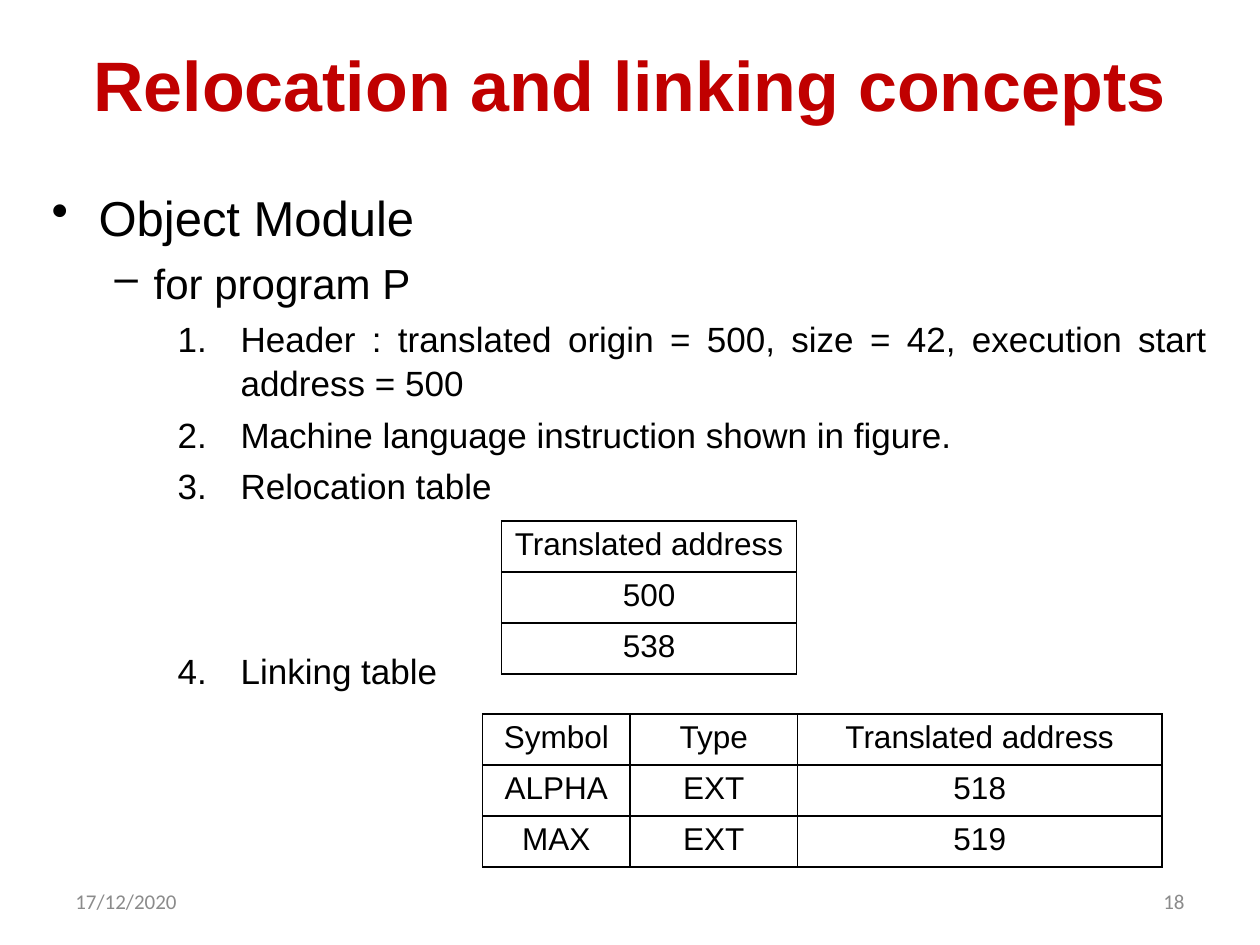
from lxml import etree
from pptx import Presentation
from pptx import util as u
from pptx.dml.color import RGBColor
from pptx.enum import text
from pptx.oxml import ns

ALIGN = text.PP_ALIGN
BLACK, RED, GREY = "000000", "C00000", "8B8B8B"

# level: (font size, left margin, hanging indent, space before, bullet tag, bullet attributes)
LEVELS = [
    (28, 0.95, 0.95, 5.6, "buChar", {"char": "•"}),
    (24, 2.06, 0.79, 4.8, "buChar", {"char": "–"}),
    (20, 3.81, 1.27, 4, "buAutoNum", {"type": "arabicPeriod"}),
]
OUTLINE = [
    (0, "Object Module"),
    (1, "for program P"),
    (2, "Header : translated origin = 500, size = 42, execution start address = 500"),
    (2, "Machine language instruction shown in figure."),
    (2, "Relocation table"),
    (2, "Linking table"),
]
TABLE_GAP = 80  # points left free above "Linking table"
RELOCATION = [["Translated address"], ["500"], ["538"]]
LINKING = [
    ["Symbol", "Type", "Translated address"],
    ["ALPHA", "EXT", "518"],
    ["MAX", "EXT", "519"],
]


def color(value):
    """Turn a hex string into a colour."""
    return RGBColor.from_string(value)


def cm_box(box):
    """Turn left, top, width, height in centimetres into lengths."""
    return [u.Cm(length) for length in box]


def add_child(parent, tag, **attributes):
    """Append a drawing element to parent and return it."""
    return etree.SubElement(parent, ns.qn("a:" + tag), attributes)


def format_paragraph(paragraph, size, value, align, name="Arial", bold=False):
    """Set the font and alignment of a whole paragraph."""
    paragraph.alignment = align
    font = paragraph.font
    font.name, font.size, font.bold = name, u.Pt(size), bold
    font.color.rgb = color(value)


def place_title(slide, box, title):
    """Move and format the title placeholder."""
    shape = slide.shapes.title
    shape.left, shape.top, shape.width, shape.height = cm_box(box)
    frame = shape.text_frame
    frame.text = title
    frame.vertical_anchor = text.MSO_ANCHOR.MIDDLE
    format_paragraph(frame.paragraphs[0], 40, RED, ALIGN.CENTER, bold=True)


def add_outline(slide, box, items):
    """Add the bulleted and numbered outline."""
    frame = slide.shapes.add_textbox(*cm_box(box)).text_frame
    frame.word_wrap = True
    for index, (level, words) in enumerate(items):
        paragraph = frame.add_paragraph() if index else frame.paragraphs[0]
        size, margin, hanging, before, tag, attributes = LEVELS[level]
        paragraph.text, paragraph.level = words, level
        format_paragraph(paragraph, size, BLACK, ALIGN.JUSTIFY)
        paragraph.line_spacing = 1.06
        last = index == len(items) - 1
        paragraph.space_before = u.Pt(TABLE_GAP if last else before)
        properties = paragraph._p.get_or_add_pPr()
        properties.set("marL", str(u.Cm(margin)))
        properties.set("indent", str(-u.Cm(hanging)))
        bullet = etree.Element(ns.qn("a:" + tag), attributes)
        properties.find(ns.qn("a:defRPr")).addprevious(bullet)


def format_cell(cell, words):
    """Fill in one cell: centred text, no fill, thin black borders."""
    cell.text = words
    format_paragraph(cell.text_frame.paragraphs[0], 18, BLACK, ALIGN.CENTER)
    properties = cell._tc.get_or_add_tcPr()
    for side in ("lnL", "lnR", "lnT", "lnB"):
        line = add_child(properties, side, w=str(u.Pt(1)))
        add_child(add_child(line, "solidFill"), "srgbClr", val=BLACK)
    cell.fill.background()


def add_grid(slide, left, top, widths, rows, row_height=1.03):
    """Add a plain bordered table with the given column widths."""
    box = (left, top, sum(widths), row_height * len(rows))
    table = slide.shapes.add_table(len(rows), len(widths), *cm_box(box)).table
    table.first_row = table.horz_banding = False
    for column, width in zip(table.columns, widths):
        column.width = u.Cm(width)
    for row, values in zip(table.rows, rows):
        for cell, words in zip(row.cells, values):
            format_cell(cell, words)


def add_footer(slide, box, words, align):
    """Add one small grey footer text."""
    frame = slide.shapes.add_textbox(*cm_box(box)).text_frame
    frame.word_wrap = True
    frame.vertical_anchor = text.MSO_ANCHOR.MIDDLE
    frame.text = words
    format_paragraph(frame.paragraphs[0], 12, GREY, align, name="Calibri")


def build():
    """Build the slide and save it."""
    presentation = Presentation()
    presentation.slide_width, presentation.slide_height = u.Cm(25.4), u.Cm(19.05)
    slide = presentation.slides.add_slide(presentation.slide_layouts[5])
    place_title(slide, (0.79, 0.2, 23.8, 2.97), "Relocation and linking concepts")
    add_outline(slide, (0.79, 3.58, 23.8, 14.88), OUTLINE)
    add_grid(slide, 10.11, 10.5, [5.95], RELOCATION)
    add_grid(slide, 9.73, 14.39, [2.97, 3.38, 7.34], LINKING)
    add_footer(slide, (1.27, 17.66, 5.93, 1.01), "17/12/2020", ALIGN.LEFT)
    add_footer(slide, (18.2, 17.66, 5.93, 1.01), "18", ALIGN.RIGHT)
    presentation.save("out.pptx")


build()
